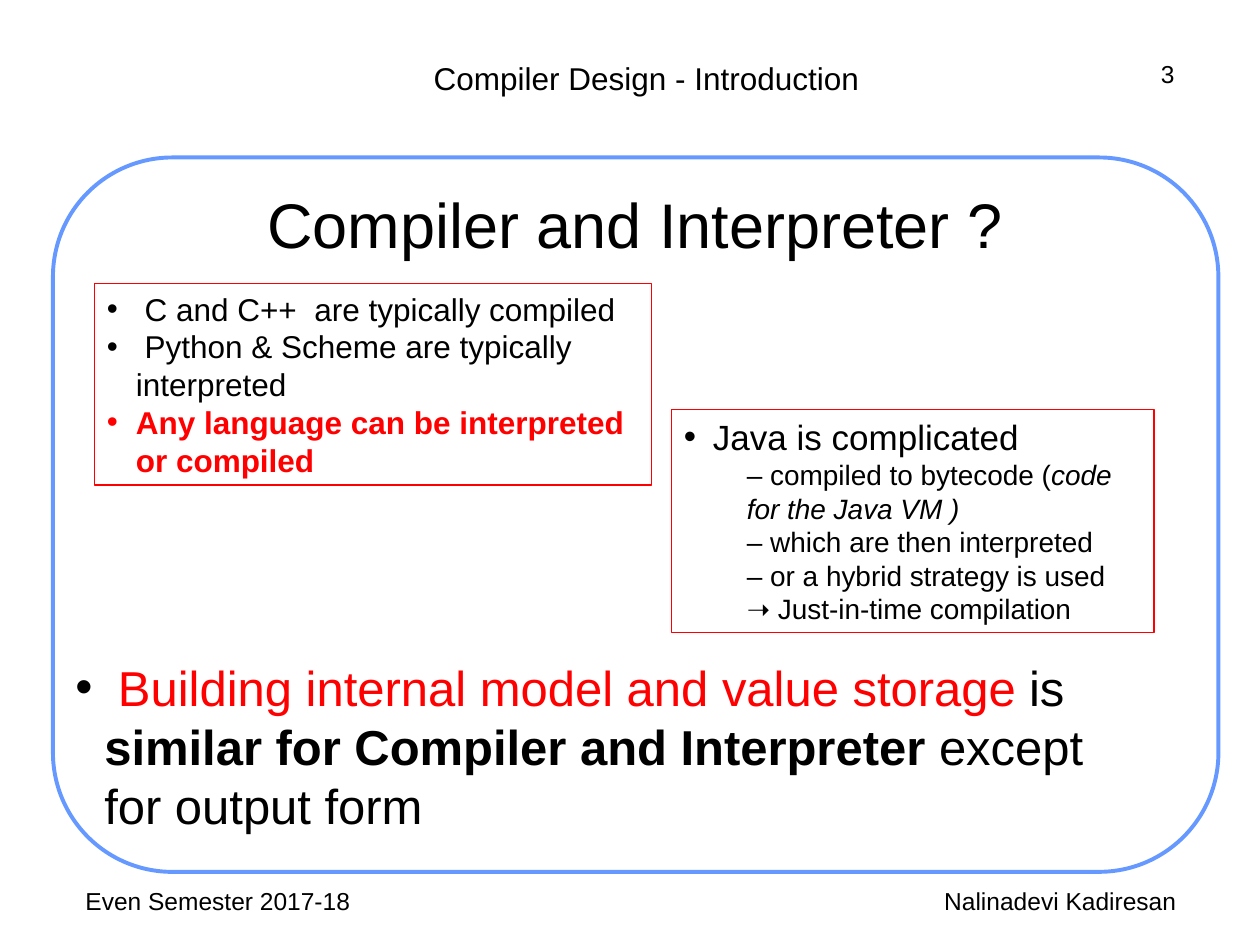
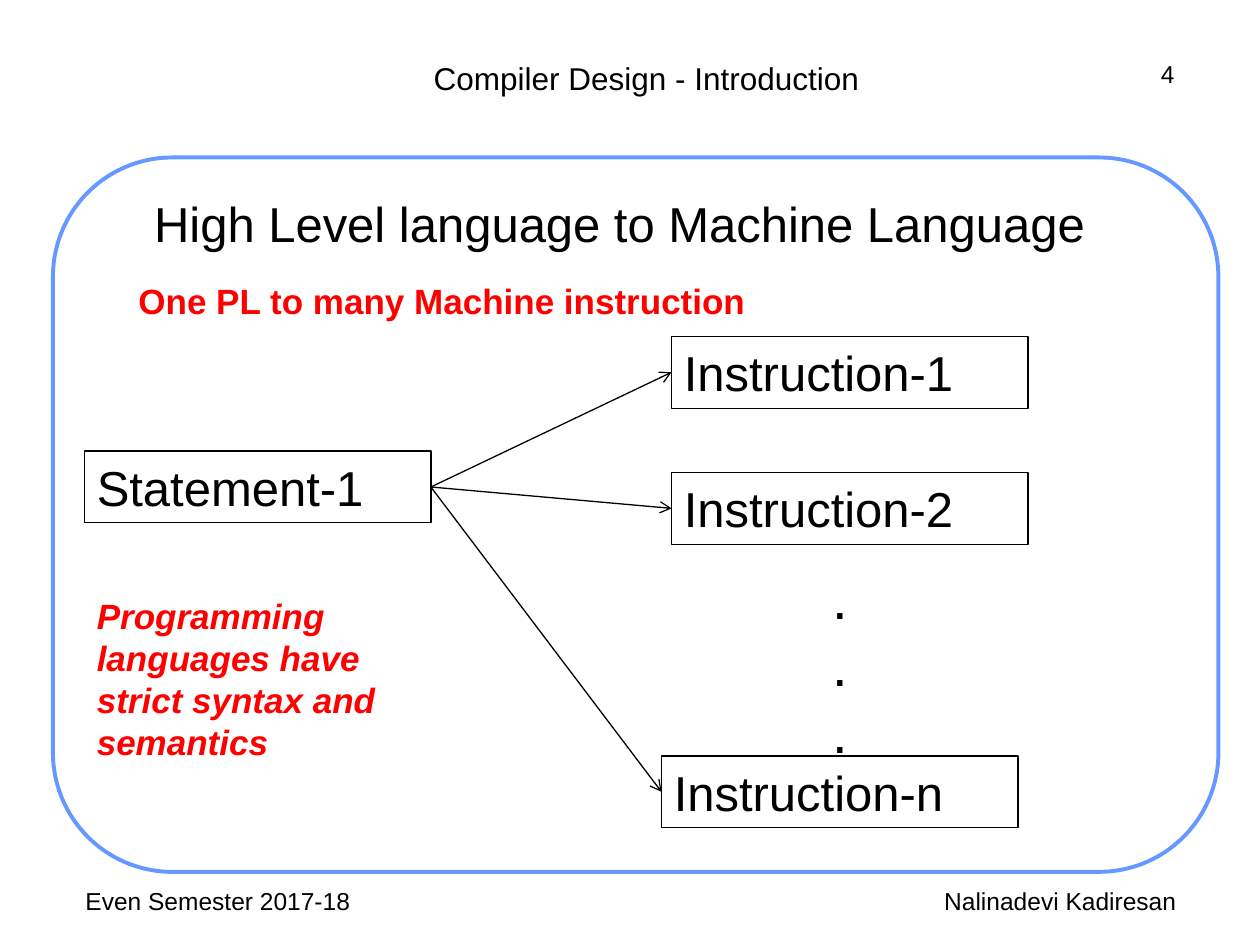
from dataclasses import dataclass

from lxml.etree import SubElement
from pptx import Presentation
from pptx.dml.color import RGBColor
from pptx.enum.shapes import MSO_CONNECTOR, MSO_SHAPE
from pptx.enum.text import MSO_ANCHOR, PP_ALIGN
from pptx.oxml.ns import qn
from pptx.util import Inches, Pt


@dataclass(frozen=True)
class Theme:
    font: str = "Arial"
    black: str = "000000"
    red: str = "FF0000"
    white: str = "FFFFFF"
    frame: str = "6699FF"
    huge: int = 36
    dots: int = 32
    large: int = 28
    medium: int = 20
    body: int = 18
    detail: int = 16
    small: int = 14
    thin: float = 0.75
    thick: float = 2.25


THEME = Theme()
LEFT, CENTER, RIGHT = PP_ALIGN.LEFT, PP_ALIGN.CENTER, PP_ALIGN.RIGHT

# Content: a paragraph is a dict; its text is a string or a list of (text, run style)
HEADER = "Compiler Design - Introduction"
SEMESTER = "Even Semester 2017-18"
AUTHOR = "Nalinadevi Kadiresan"

COMPARISON_TITLE = "Compiler and Interpreter ?"
TYPICAL_LANGUAGES = [
    dict(text=" C and C++  are typically compiled", bullet=True),
    dict(text=" Python & Scheme are typically interpreted", bullet=True),
    dict(text="Any language can be interpreted or compiled", bullet=True,
         color=THEME.red, bold=True),
]
JAVA_STEPS = [
    [("– compiled to bytecode (", {}), ("code for the Java VM )", {"italic": True})],
    "– which are then interpreted",
    "– or a hybrid strategy is used",
    "➝ Just-in-time compilation",
]
JAVA = [dict(text="Java is complicated", bullet=True, size=THEME.medium)] + [
    dict(text=step, indent=0.5, size=THEME.detail) for step in JAVA_STEPS
]
CONCLUSION = [dict(bullet=True, size=THEME.large, text=[
    (" ", {}),
    ("Building internal model and value storage", {"color": THEME.red}),
    (" is ", {}),
    ("similar for Compiler and Interpreter ", {"bold": True}),
    ("except for output form", {}),
])]

TRANSLATION_TITLE = "High Level language to Machine Language"
STATEMENT = "Statement-1"
INSTRUCTIONS = [  # label, left, top
    ("Instruction-1", 5.33, 2.67),
    ("Instruction-2", 5.33, 3.75),
    ("Instruction-n", 5.25, 6.0),
]
ONE_TO_MANY = "One PL to many Machine instruction"
STRICTNESS = "Programming languages have strict syntax and semantics"

BULLET_INDENT = 0.23
BOX_HEIGHT = 0.57


def rgb(color):
    return RGBColor.from_string(color)


def style_font(font, size=None, color=None, bold=None, italic=None):
    if size:
        font.size = Pt(size)
    if color:
        font.color.rgb = rgb(color)
    if bold is not None:
        font.bold = bold
    if italic is not None:
        font.italic = italic


def indent_paragraph(paragraph, left, hanging=0.0):
    properties = paragraph._p.get_or_add_pPr()
    properties.set("marL", str(Inches(left)))
    properties.set("indent", str(-Inches(hanging)))
    return properties


def add_bullet(paragraph, color):
    properties = indent_paragraph(paragraph, BULLET_INDENT, BULLET_INDENT)
    bullet_color = SubElement(properties, qn("a:buClr"))
    SubElement(bullet_color, qn("a:srgbClr"), val=color)
    SubElement(properties, qn("a:buFont"), typeface=THEME.font)
    SubElement(properties, qn("a:buChar"), char="•")


def write_paragraph(paragraph, text, size=THEME.body, color=THEME.black, bold=False,
                    italic=False, align=LEFT, bullet=False, indent=0):
    paragraph.alignment = align
    if bullet:
        add_bullet(paragraph, color)
    elif indent:
        indent_paragraph(paragraph, indent)
    paragraph.font.name = THEME.font
    style_font(paragraph.font, size, color, bold, italic)
    for run_text, run_style in [(text, {})] if isinstance(text, str) else text:
        run = paragraph.add_run()
        run.text = run_text
        style_font(run.font, **run_style)


def write_text(shape, paragraphs, anchor=MSO_ANCHOR.TOP):
    frame = shape.text_frame
    frame.word_wrap = True
    frame.vertical_anchor = anchor
    for index, content in enumerate(paragraphs):
        paragraph = frame.add_paragraph() if index else frame.paragraphs[0]
        write_paragraph(paragraph, **content)


def add_text(slide, area, paragraphs, **options):
    textbox = slide.shapes.add_textbox(*map(Inches, area))
    write_text(textbox, paragraphs, **options)


def add_outline(slide, kind, area, color, width):
    shape = slide.shapes.add_shape(kind, *map(Inches, area))
    shape.shadow.inherit = False
    shape.fill.background()
    shape.line.color.rgb = rgb(color)
    shape.line.width = Pt(width)
    return shape


def add_box(slide, area, paragraphs, color=THEME.black):
    box = add_outline(slide, MSO_SHAPE.RECTANGLE, area, color, THEME.thin)
    write_text(box, paragraphs)
    return box


def add_arrow(slide, source, target):
    """Join the right side of source to the left side of target."""
    arrow = slide.shapes.add_connector(MSO_CONNECTOR.STRAIGHT, 0, 0, 0, 0)
    arrow.begin_connect(source, 3)
    arrow.end_connect(target, 1)
    arrow.line.color.rgb = rgb(THEME.black)
    arrow.line.width = Pt(THEME.thin)
    SubElement(arrow.line._get_or_add_ln(), qn("a:tailEnd"), type="arrow")
    SubElement(arrow._element.spPr, qn("a:effectLst"))


def add_base_slide(presentation, number, title, title_area, title_size):
    """Add a slide with the shared frame, header, title and footers."""
    slide = presentation.slides.add_slide(presentation.slide_layouts[6])
    frame = add_outline(slide, MSO_SHAPE.ROUNDED_RECTANGLE, (0.42, 1.25, 9.25, 5.67),
                        THEME.frame, THEME.thick)
    frame.adjustments[0] = 0.167
    frame.fill.solid()
    frame.fill.fore_color.rgb = rgb(THEME.white)
    add_text(slide, (1.42, 0.42, 7.42, 0.4), [dict(text=HEADER, align=CENTER)])
    add_text(slide, title_area, [dict(text=title, size=title_size, align=CENTER)],
             anchor=MSO_ANCHOR.MIDDLE)
    for text, area, align in [
        (str(number), (7.67, 0.42, 1.75, 0.52), RIGHT),
        (SEMESTER, (0.58, 6.98, 2.33, 0.52), LEFT),
        (AUTHOR, (6.83, 6.98, 3.17, 0.52), CENTER),
    ]:
        add_text(slide, area, [dict(text=text, size=THEME.small, align=align)])
    return slide


def build_comparison(presentation):
    slide = add_base_slide(presentation, 3, COMPARISON_TITLE,
                           (1.08, 1.33, 7.92, 0.88), THEME.huge)
    add_box(slide, (5.33, 3.25, 3.83, 1.77), JAVA, THEME.red)
    add_box(slide, (0.75, 2.25, 4.42, 1.6), TYPICAL_LANGUAGES, THEME.red)
    add_text(slide, (0.5, 5.17, 8.33, 1.5), CONCLUSION)


def build_translation(presentation):
    slide = add_base_slide(presentation, 4, TRANSLATION_TITLE,
                           (0.83, 1.33, 8.17, 0.88), THEME.large)

    # One statement fans out to many instructions
    statement = add_box(slide, (0.67, 3.58, 2.75, BOX_HEIGHT),
                        [dict(text=STATEMENT, size=THEME.large)])
    instructions = [
        add_box(slide, (left, top, 2.83, BOX_HEIGHT), [dict(text=label, size=THEME.large)])
        for label, left, top in INSTRUCTIONS
    ]
    for instruction in instructions:
        add_arrow(slide, statement, instruction)
    add_text(slide, (5.67, 4.42, 2, 1.7),
             [dict(text=".", size=THEME.dots, align=CENTER)] * 3)

    # Remarks
    remark = dict(size=THEME.medium, color=THEME.red, bold=True)
    add_text(slide, (0.67, 4.67, 2.83, 1.44), [dict(text=STRICTNESS, italic=True, **remark)])
    add_text(slide, (1, 2.17, 6.42, 0.44), [dict(text=ONE_TO_MANY, **remark)])


def main():
    presentation = Presentation()
    presentation.slide_width = Inches(10)
    presentation.slide_height = Inches(7.5)
    build_comparison(presentation)
    build_translation(presentation)
    presentation.save("out.pptx")


if __name__ == "__main__":
    main()
